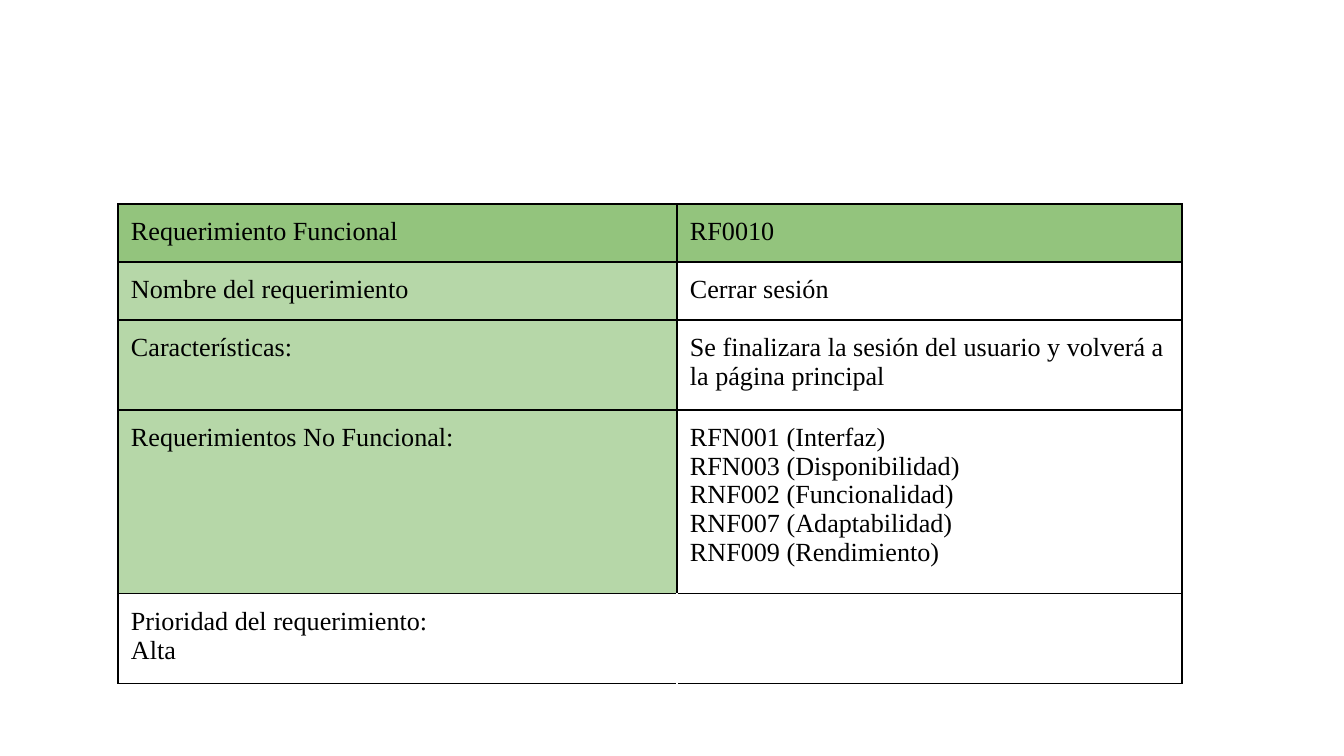
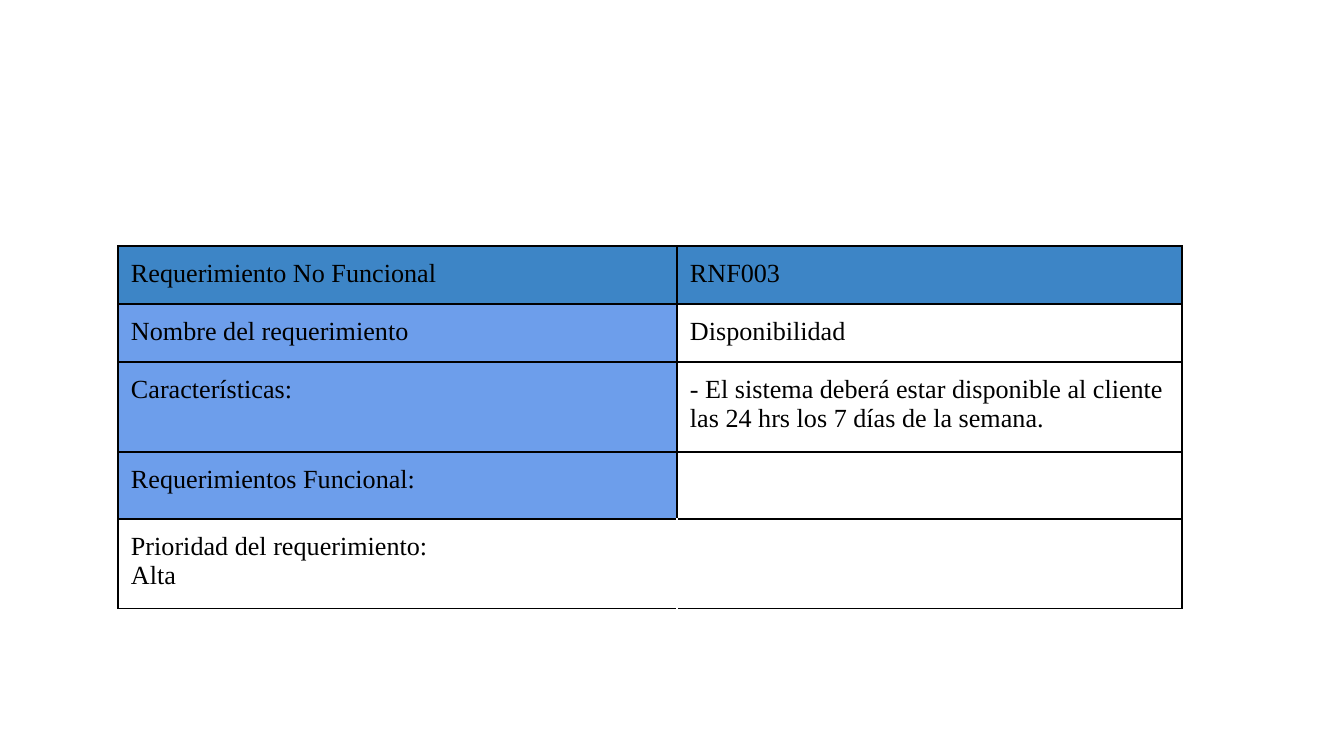
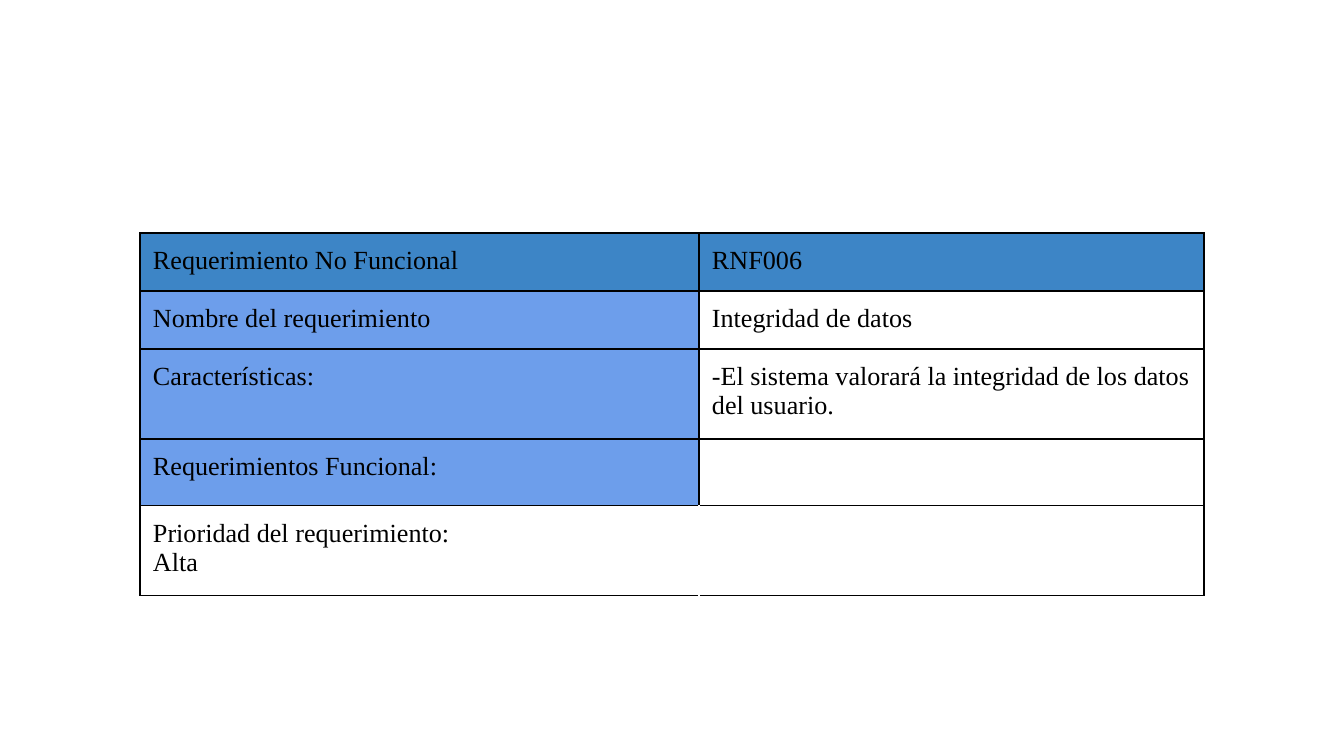
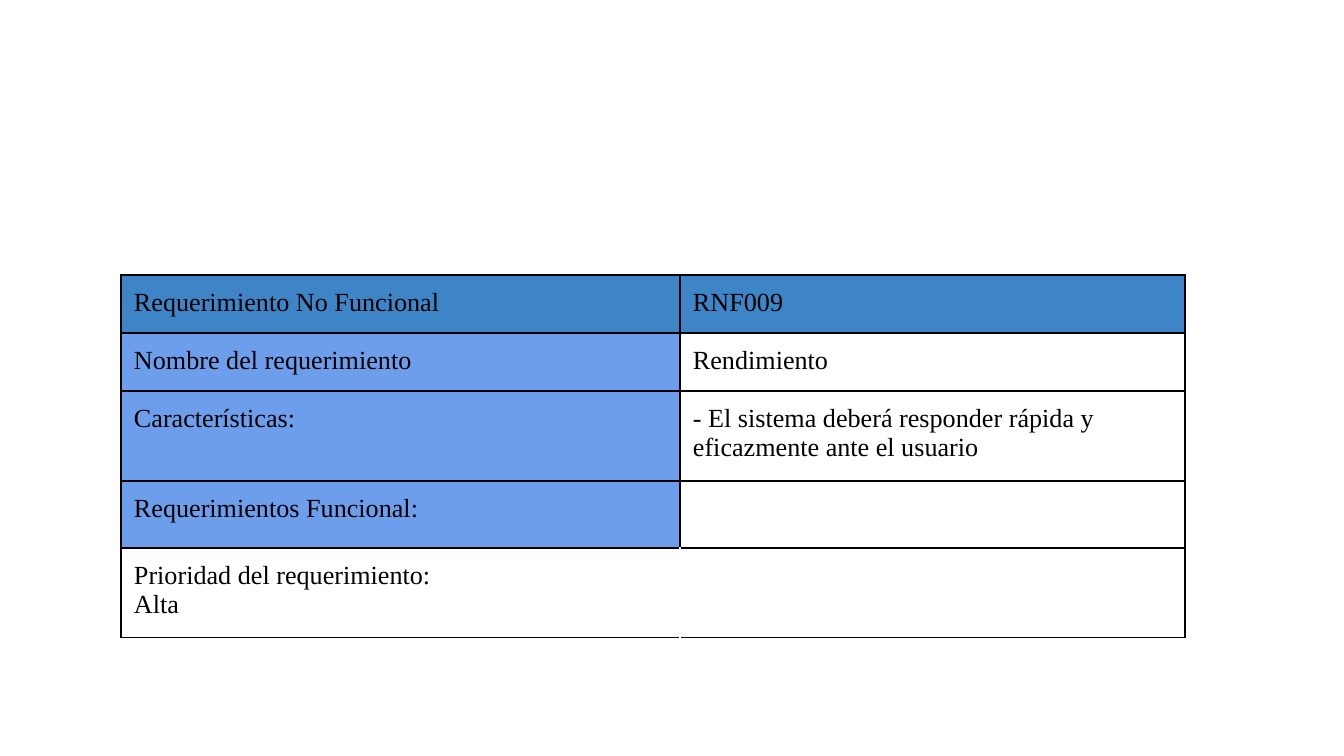
from lxml.etree import SubElement
from pptx import Presentation
from pptx.dml.color import RGBColor
from pptx.oxml.ns import qn
from pptx.util import Emu, Pt

EMU_PER_PX = 914400 / 134.4
FONT = "Times New Roman"
TEXT_SIZE = 14
BLACK = "000000"
WHITE = "FFFFFF"
GREENS = ("93C47D", "B6D7A8")
BLUES = ("3D85C6", "6D9EEB")
COLUMN_WIDTHS = (559, 505)
CELL_MARGIN = 13
SIDES = ("L", "R", "T", "B")


def px(length):
    return Emu(round(length * EMU_PER_PX))


def color(hex_string):
    return RGBColor.from_string(hex_string)


def fill_cell(cell, hex_string):
    cell.fill.solid()
    cell.fill.fore_color.rgb = color(hex_string)


def draw_borders(cell, white_side):
    properties = cell._tc.get_or_add_tcPr()
    for index, side in enumerate(SIDES):
        border = SubElement(properties, qn(f"a:ln{side}"), w=str(Pt(0.75)))
        solid = SubElement(border, qn("a:solidFill"))
        SubElement(solid, qn("a:srgbClr"), val=WHITE if side == white_side else BLACK)
        properties.insert(index, border)


def write_cell(cell, lines):
    cell.margin_left = cell.margin_right = px(CELL_MARGIN)
    cell.margin_top = cell.margin_bottom = px(CELL_MARGIN)
    frame = cell.text_frame
    for index, line in enumerate(lines):
        paragraph = frame.add_paragraph() if index else frame.paragraphs[0]
        run = paragraph.add_run()
        run.text = line
        run.font.name = FONT
        run.font.size = Pt(TEXT_SIZE)
        run.font.color.rgb = color(BLACK)


def requirement_table(slide, box, entries, row_heights, header_color, label_color):
    left, top, width, height = box
    table = slide.shapes.add_table(
        len(entries), len(COLUMN_WIDTHS), px(left), px(top), px(width), px(height)
    ).table
    table.first_row = False
    table.horz_banding = False
    for column, column_width in zip(table.columns, COLUMN_WIDTHS):
        column.width = px(column_width)
    last = len(entries) - 1
    for index, (entry, row_height) in enumerate(zip(entries, row_heights)):
        table.rows[index].height = px(row_height)
        if index == 0:
            fills = (header_color, header_color)
        elif index == last:
            fills = (WHITE, WHITE)
        else:
            fills = (label_color, WHITE)
        open_sides = ("R", "L") if index == last else (None, None)
        for position, (lines, fill, open_side) in enumerate(zip(entry, fills, open_sides)):
            cell = table.cell(index, position)
            fill_cell(cell, fill)
            draw_borders(cell, open_side)
            if lines:
                write_cell(cell, lines)


def requirement_slide(deck, origin, kind, code, name, features, related, palette):
    slide = deck.slides.add_slide(deck.slide_layouts[6])
    related_label, related_codes, related_height = related
    entries = [
        ([f"Requerimiento {kind}"], [code]),
        (["Nombre del requerimiento"], [name]),
        (["Características:"], [features]),
        ([related_label], related_codes),
        (["Prioridad del requerimiento:", "Alta"], []),
    ]
    row_heights = (58, 58, 90, related_height, 90)
    box = (*origin, sum(COLUMN_WIDTHS), sum(row_heights))
    requirement_table(slide, box, entries, row_heights, *palette)


def main():
    deck = Presentation()
    deck.slide_width = px(1344)
    deck.slide_height = px(756)

    quality_codes = [
        "RFN001 (Interfaz)",
        "RFN003 (Disponibilidad)",
        "RNF002 (Funcionalidad)",
        "RNF007 (Adaptabilidad)",
        "RNF009 (Rendimiento)",
    ]
    requirement_slide(
        deck, (118, 204), "Funcional", "RF0010", "Cerrar sesión",
        "Se finalizara la sesión del usuario y volverá a la página principal",
        ("Requerimientos No Funcional:", quality_codes, 184), GREENS,
    )

    no_functional = [
        ((118, 246), "RNF003", "Disponibilidad",
         "- El sistema deberá estar disponible al cliente las 24 hrs los 7 días de la semana."),
        ((140, 233), "RNF006", "Integridad de datos",
         "-El sistema valorará la integridad de los datos del usuario."),
        ((121, 275), "RNF009", "Rendimiento",
         "- El sistema deberá responder rápida y eficazmente ante el usuario"),
    ]
    for origin, code, name, features in no_functional:
        requirement_slide(
            deck, origin, "No Funcional", code, name, features,
            ("Requerimientos Funcional:", [], 67), BLUES,
        )

    deck.save("out.pptx")


if __name__ == "__main__":
    main()
